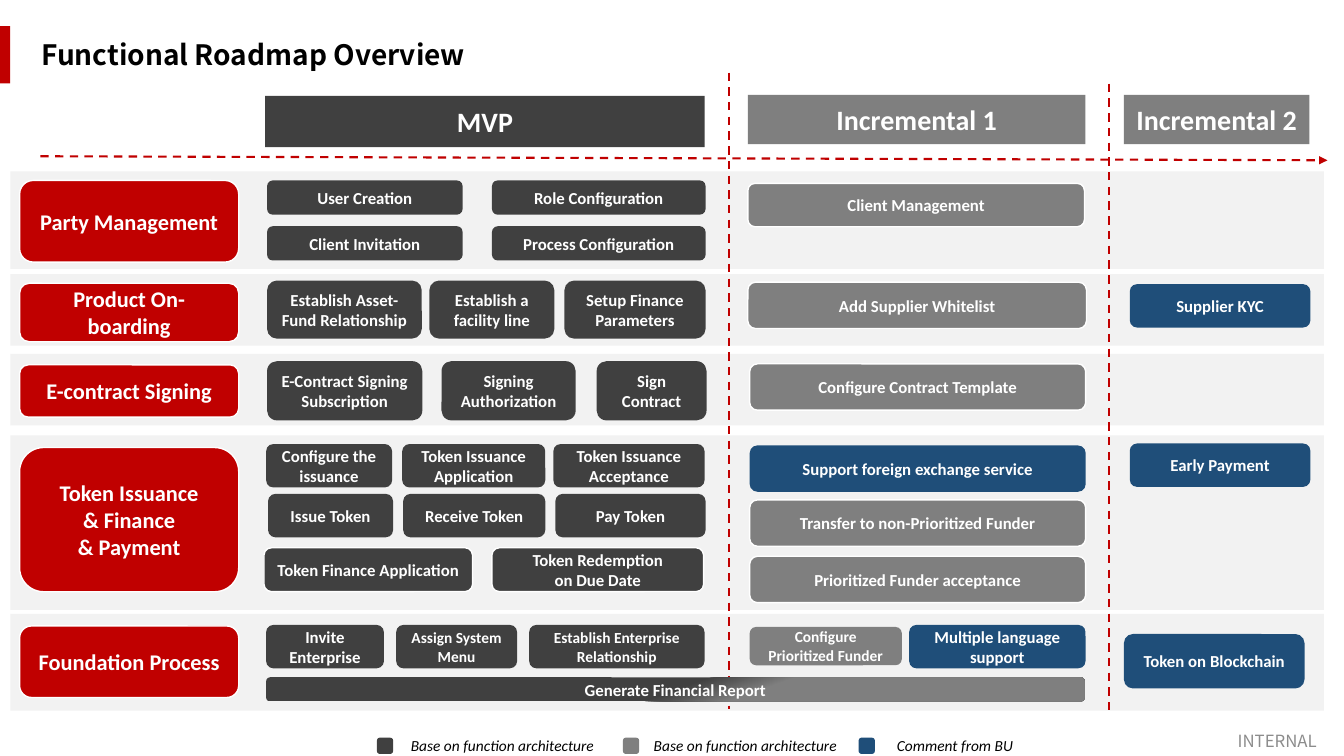
from dataclasses import dataclass
from typing import Optional

from lxml.etree import SubElement
from pptx import Presentation
from pptx.dml.color import RGBColor as RGB
from pptx.enum.dml import MSO_LINE_DASH_STYLE as Dash
from pptx.enum.shapes import MSO_CONNECTOR_TYPE as Conn, MSO_SHAPE as Geo
from pptx.enum.text import MSO_ANCHOR as Anchor, MSO_AUTO_SIZE as Fit, PP_ALIGN as Align
from pptx.oxml.ns import qn
from pptx.util import Pt


@dataclass(frozen=True)
class Theme:
    red: str = "C00000"
    dark: str = "404040"
    grey: str = "7F7F7F"
    blue: str = "1F4E79"
    band: str = "F2F2F2"
    white: str = "FFFFFF"
    black: str = "000000"
    muted: str = "8C8C8C"
    body_font: str = "Calibri"
    title_font: str = "Noto Sans CJK SC"
    heading: float = 20
    module: float = 16
    tile: float = 12
    small: float = 11


T = Theme()


@dataclass(frozen=True)
class Box:
    text: str
    left: float
    width: float
    size: float = T.tile


@dataclass(frozen=True)
class Row:
    top: float
    height: float
    boxes: list[Box]
    fill: str = T.dark
    outline: Optional[str] = None
    geo: Geo = Geo.ROUNDED_RECTANGLE


@dataclass(frozen=True)
class Rule:
    x1: float
    y1: float
    x2: float
    y2: float
    arrow: bool = False


@dataclass(frozen=True)
class Key:
    text: str
    swatch: float
    left: float
    width: float
    fill: str


MODULE_X, MODULE_W = 14, 156.5
MVP_X, INC1_X, INC2_X = 190.8, 535.5, 807
INC1_W, INC2_W = 240, 129

BANDS = [(122.4, 69.8), (195.8, 51.1), (252.7, 51.1), (311, 124.6), (438.5, 69.1)]

HEADERS = [
    Row(68.4, 36.7, [Box("MVP", 189.4, 314, T.heading)], geo=Geo.RECTANGLE),
    Row(67.7, 35.3, [Box("Incremental 1", 534.2, 241.2, T.heading),
                     Box("Incremental 2", 802.8, 132.5, T.heading)],
        T.grey, geo=Geo.RECTANGLE),
]

MODULES = [
    Row(top, height, [Box(text, MODULE_X, MODULE_W, T.module)], T.red, T.white)
    for text, top, height in [
        ("Party Management", 128.9, 58.3),
        ("Product On-boarding", 202.3, 41.8),
        ("E-contract Signing", 260.6, 37.4),
        ("Token Issuance\n& Finance\n& Payment", 319.7, 103),
        ("Foundation Process", 447.1, 51.1),
    ]
]

MVP = [
    Row(128.9, 24.5, [Box("User Creation", MVP_X, 139.7),
                      Box("Role Configuration", 351.4, 152.6)]),
    Row(161.6, 24.5, [Box("Client Invitation", MVP_X, 139.7),
                      Box("Process Configuration", 351.4, 152.6)]),
    Row(200.4, 41.5, [Box("Establish Asset-Fund Relationship", MVP_X, 110.5),
                      Box("Establish a facility line", 306.7, 89.3),
                      Box("Setup Finance Parameters", 403.2, 100.8)]),
    Row(258, 42.3, [Box("E-Contract Signing Subscription", MVP_X, 110.9),
                    Box("Signing Authorization", 315.4, 95.8),
                    Box("Sign Contract", 426.2, 78.5)]),
    Row(317.2, 31, [Box("Configure the issuance", 190.1, 90),
                    Box("Token Issuance Application", 287.3, 102.2),
                    Box("Token Issuance Acceptance", 395.3, 108)]),
    Row(352.8, 31, [Box("Issue Token", 191.5, 89.3),
                    Box("Receive Token", 288, 101.5),
                    Box("Pay Token", 396.7, 107.3)]),
    Row(391.3, 31.3, [Box("Token Finance Application", 188.6, 149),
                      Box("Token Redemption\non Due Date", 351.4, 151.2)],
        outline=T.white),
    Row(446.4, 31, [Box("Invite Enterprise", 190.1, 84.2),
                    Box("Assign System Menu", 283, 86.4, T.small),
                    Box("Establish Enterprise Relationship", 378, 125.3, T.small)]),
]

INCREMENTAL_1 = [
    Row(131, 31, [Box("Client Management", 534.2, 240.5)], T.grey, T.white),
    Row(201.6, 33.1, [Box("Add Supplier Whitelist", 534.2, 241.9)], T.grey, T.white),
    Row(259.9, 33.1, [Box("Configure Contract Template", INC1_X, INC1_W)], T.grey, T.white),
    Row(318.2, 33.1, [Box("Support foreign exchange service", INC1_X, INC1_W)], T.blue),
    Row(357.1, 33.1, [Box("Transfer to non-Prioritized Funder", INC1_X, INC1_W)], T.grey, T.white),
    Row(397.4, 33.1, [Box("Prioritized Funder acceptance", INC1_X, INC1_W)], T.grey, T.white),
    Row(447.8, 27.4, [Box("Configure Prioritized Funder", INC1_X, 108.7, T.small)], T.grey),
    Row(446.4, 31, [Box("Multiple language\nsupport", 649.4, 126)], T.blue),
]

INCREMENTAL_2 = [
    Row(203, 31, [Box("Supplier KYC", INC2_X, INC2_W)], T.blue),
    Row(316.8, 31, [Box("Early Payment", INC2_X, INC2_W)], T.blue),
    Row(452.9, 38.9, [Box("Token on Blockchain", 802.8, INC2_W)], T.blue),
]

REPORT = Row(483.8, 17.3, [Box("Generate Financial Report", 190.1, 584.6)])

PHASE_RULES = [Rule(520.6, 51.8, 520.6, 506.2), Rule(792, 59.8, 792, 510.5)]
TIMELINE = Rule(28.8, 111.6, 948.2, 114.5, arrow=True)

LEGEND = [
    Key("Base on function architecture", 269.3, 280.1, 157.7, T.dark),
    Key("Base on function architecture", 445, 453.6, 157.7, T.grey),
    Key("Comment from BU", 613.4, 626.4, 111.6, T.blue),
]


def put_text(sp, text: str, *, size: float, color: str = T.white, font: str = T.body_font,
             bold: bool = False, italic: bool = False, align: Align = Align.CENTER,
             anchor: Anchor = Anchor.MIDDLE) -> None:
    tf = sp.text_frame
    tf.text = text
    tf.word_wrap = True
    tf.auto_size = Fit.NONE
    tf.vertical_anchor = anchor
    for p in tf.paragraphs:
        p.alignment = align
        for r in p.runs:
            f = r.font
            f.name, f.size, f.bold, f.italic = font, Pt(size), bold, italic
            f.color.rgb = RGB.from_string(color)


def add_box(s, geo: Geo, left: float, top: float, width: float, height: float,
            fill: str, outline: Optional[str] = None):
    sp = s.shapes.add_shape(geo, Pt(left), Pt(top), Pt(width), Pt(height))
    sp.shadow.inherit = False
    sp.fill.solid()
    sp.fill.fore_color.rgb = RGB.from_string(fill)
    if outline:
        sp.line.color.rgb = RGB.from_string(outline)
        sp.line.width = Pt(1)
    else:
        sp.line.fill.background()
    return sp


def add_row(s, row: Row) -> list:
    shapes = []
    for b in row.boxes:
        sp = add_box(s, row.geo, b.left, row.top, b.width, row.height, row.fill, row.outline)
        put_text(sp, b.text, size=b.size, bold=True)
        shapes.append(sp)
    return shapes


def add_rule(s, rule: Rule) -> None:
    cx = s.shapes.add_connector(Conn.STRAIGHT, Pt(rule.x1), Pt(rule.y1), Pt(rule.x2), Pt(rule.y2))
    cx.line.color.rgb = RGB.from_string(T.red)
    cx.line.width = Pt(1.5)
    cx.line.dash_style = Dash.DASH
    if rule.arrow:
        SubElement(cx.line._get_or_add_ln(), qn("a:tailEnd"), type="triangle")
    SubElement(cx._element.spPr, qn("a:effectLst"))


def add_report_bar(s) -> None:
    sp = add_row(s, REPORT)[0]
    sp.fill.gradient()
    sp.fill.gradient_angle = 290
    for stop, position, color in zip(sp.fill.gradient_stops, (0.5, 0.6), (T.dark, T.grey)):
        stop.position = position
        stop.color.rgb = RGB.from_string(color)


def add_key(s, key: Key) -> None:
    add_box(s, Geo.ROUNDED_RECTANGLE, key.swatch, 527, 11.5, 11.5, key.fill)
    sp = s.shapes.add_textbox(Pt(key.left), Pt(522), Pt(key.width), Pt(20.9))
    put_text(sp, key.text, size=T.small, color=T.black, italic=True, anchor=Anchor.TOP)


def main() -> None:
    prs = Presentation()
    prs.slide_width, prs.slide_height = Pt(960), Pt(540)
    s = prs.slides.add_slide(prs.slide_layouts[5])

    title = s.shapes.title
    title.left, title.top, title.width, title.height = Pt(22.3), Pt(23), Pt(513.4), Pt(31.7)
    put_text(title, "Functional Roadmap Overview", size=T.heading, color=T.black,
             font=T.title_font, bold=True, align=Align.LEFT)
    add_box(s, Geo.RECTANGLE, 0, 18.7, 7.2, 41, T.red)

    for top, height in BANDS:
        add_box(s, Geo.RECTANGLE, 7.5, top, 938.2, height, T.band)
    for row in HEADERS:
        add_row(s, row)
    for rule in PHASE_RULES:
        add_rule(s, rule)
    for row in MODULES + MVP + INCREMENTAL_1 + INCREMENTAL_2:
        add_row(s, row)
    add_report_bar(s)
    add_rule(s, TIMELINE)
    for key in LEGEND:
        add_key(s, key)

    mark = s.shapes.add_textbox(Pt(877), Pt(522), Pt(78), Pt(14.4))
    put_text(mark, "INTERNAL", size=T.tile, color=T.muted, font=T.title_font, align=Align.LEFT)
    prs.save("out.pptx")


if __name__ == "__main__":
    main()
